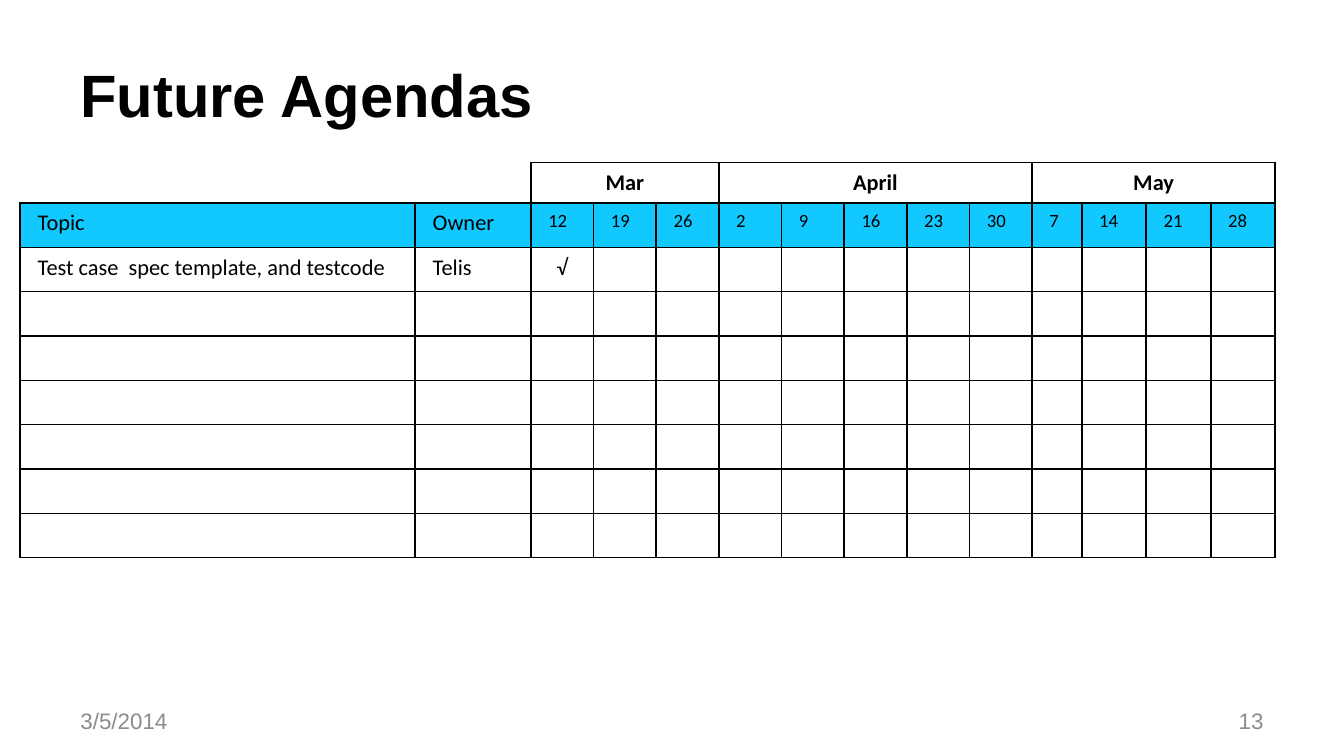
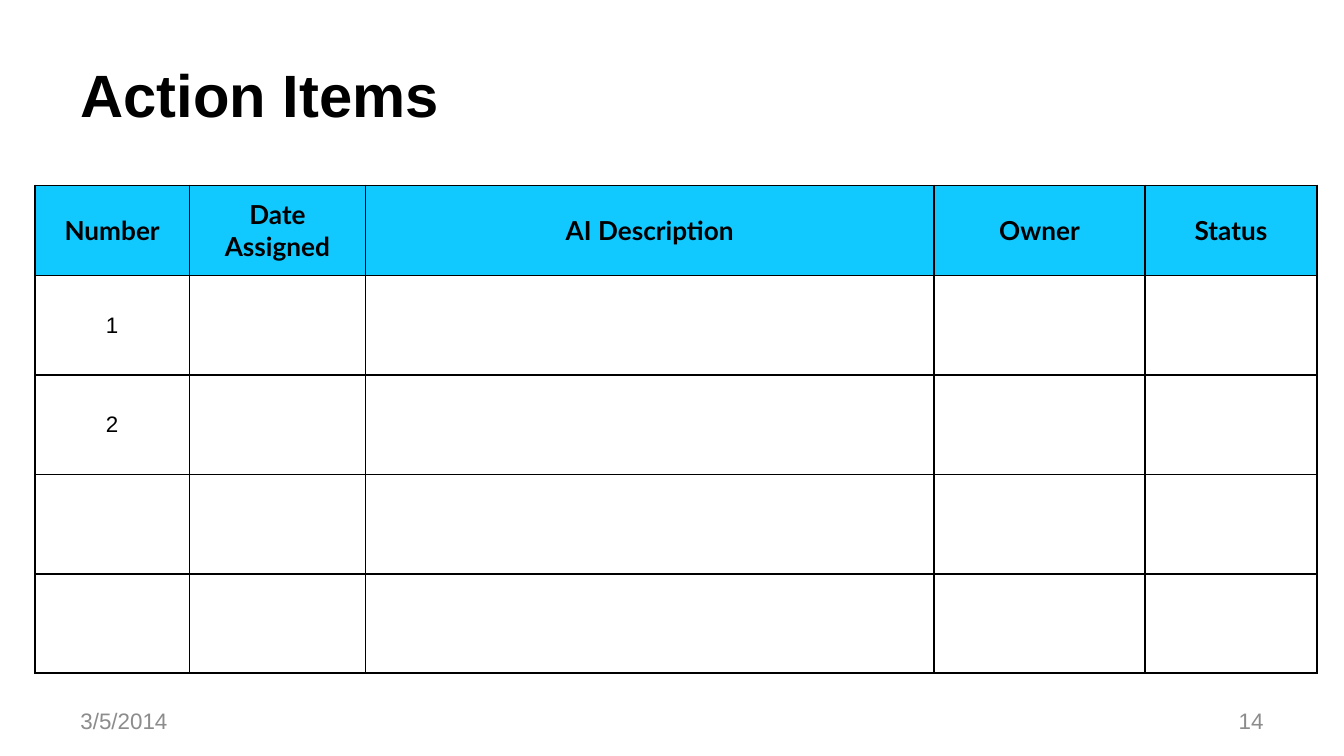
"""Build the future agendas and action items slides."""
from lxml import etree
from pptx import Presentation
from pptx import util as u
from pptx.dml import color as c
from pptx.enum import text
from pptx.oxml import ns

BLACK = c.RGBColor(0x00, 0x00, 0x00)
GREY = c.RGBColor(0x8C, 0x8C, 0x8C)
WHITE = c.RGBColor(0xFF, 0xFF, 0xFF)
CYAN = c.RGBColor(0x11, 0xC9, 0xFF)
LEFT, CENTER, RIGHT = text.PP_ALIGN.LEFT, text.PP_ALIGN.CENTER, text.PP_ALIGN.RIGHT
MIDDLE = text.MSO_ANCHOR.MIDDLE
NO_STYLE = "{2D5ABB26-0587-4C30-8999-92F81FD0307C}"


def write(tf, value, size=12, font="Arial", color=BLACK, bold=False, align=LEFT):
    tf.word_wrap = True
    p = tf.paragraphs[0]
    p.alignment = align
    r = p.add_run()
    r.text = value
    r.font.size, r.font.name, r.font.bold = u.Pt(size), font, bold
    r.font.color.rgb = color


def add_grid(s, left, top, cols, rows, open_cols=0):
    frame = s.shapes.add_table(len(rows), len(cols), u.Inches(left), u.Inches(top),
                               u.Inches(sum(cols)), u.Inches(sum(rows)))
    table = frame.table
    table.first_row = table.horz_banding = False
    table._tbl.tblPr.find(ns.qn("a:tableStyleId")).text = NO_STYLE
    for column, width in zip(table.columns, cols):
        column.width = u.Inches(width)
    for i, (row, height) in enumerate(zip(table.rows, rows)):
        row.height = u.Inches(height)
        for j, cell in enumerate(row.cells):
            cell.margin_left = cell.margin_right = u.Inches(0.13)
            cell.margin_top = cell.margin_bottom = u.Inches(0.05)
            p = cell.text_frame.paragraphs[0]
            etree.SubElement(p._p, ns.qn("a:endParaRPr"), sz="1000")
            sides = "LRTB"
            if i == 0 and j < open_cols:
                sides = "RB" if j == open_cols - 1 else "B"
            for side in sides:
                ln = etree.SubElement(cell._tc.get_or_add_tcPr(), ns.qn("a:ln" + side), w="12700")
                fill = etree.SubElement(ln, ns.qn("a:solidFill"))
                etree.SubElement(fill, ns.qn("a:srgbClr"), val=str(BLACK))
    return table


prs = Presentation()
prs.slide_width = u.Inches(10)
prs.slide_height = prs.slide_width * 9 // 16

slides = []
for title, number in (("Future Agendas", "13"), ("Action Items", "14")):
    s = prs.slides.add_slide(prs.slide_layouts[6])
    slides.append(s)
    for value, box, style in (
        (title, (0.5, 0.23, 9, 0.94), dict(size=32, bold=True)),
        ("3/5/2014", (0.5, 5.21, 2.33, 0.3), dict(color=GREY)),
        (number, (7.17, 5.21, 2.33, 0.3), dict(color=GREY, align=RIGHT)),
    ):
        tf = s.shapes.add_textbox(*map(u.Inches, box)).text_frame
        tf.vertical_anchor = MIDDLE
        write(tf, value, **style)

months = (("Mar", (12, 19, 26)), ("April", (2, 9, 16, 23, 30)), ("May", (7, 14, 21, 28)))
agenda = add_grid(slides[0], 0.15, 1.21, [2.94, 0.86] + [3.73 / 8] * 8 + [0.37] + [0.48] * 3,
                  [0.28] + [0.33] * 8, open_cols=2)
for j, value in enumerate(("Topic", "Owner")):
    cell = agenda.cell(1, j)
    cell.fill.solid()
    cell.fill.fore_color.rgb = CYAN
    write(cell.text_frame, value, font="Calibri")

first = 2
for month, days in months:
    cell = agenda.cell(0, first)
    cell.merge(agenda.cell(0, first + len(days) - 1))
    cell.fill.solid()
    cell.fill.fore_color.rgb = WHITE
    write(cell.text_frame, month, font="Calibri", bold=True, align=CENTER)
    for j, day in enumerate(days, first):
        cell = agenda.cell(1, j)
        cell.fill.solid()
        cell.fill.fore_color.rgb = CYAN
        write(cell.text_frame, str(day), size=10, font="Calibri")
    first += len(days)

topic = (("Test case  spec template, and testcode", LEFT), ("Telis", LEFT), ("√", CENTER))
for j, (value, align) in enumerate(topic):
    write(agenda.cell(2, j).text_frame, value, font="Calibri", align=align)

actions = add_grid(slides[1], 0.26, 1.38, [1.15, 1.31, 4.23, 1.57, 1.28], [0.67] + [0.74] * 4)
for j, value in enumerate(("Number", "Date Assigned", "AI Description", "Owner", "Status")):
    cell = actions.cell(0, j)
    cell.vertical_anchor = MIDDLE
    cell.fill.solid()
    cell.fill.fore_color.rgb = CYAN
    write(cell.text_frame, value, size=14, font="Lato", bold=True, align=CENTER)
for i in (1, 2):
    cell = actions.cell(i, 0)
    cell.vertical_anchor = MIDDLE
    write(cell.text_frame, str(i), align=CENTER)

prs.save("out.pptx")
